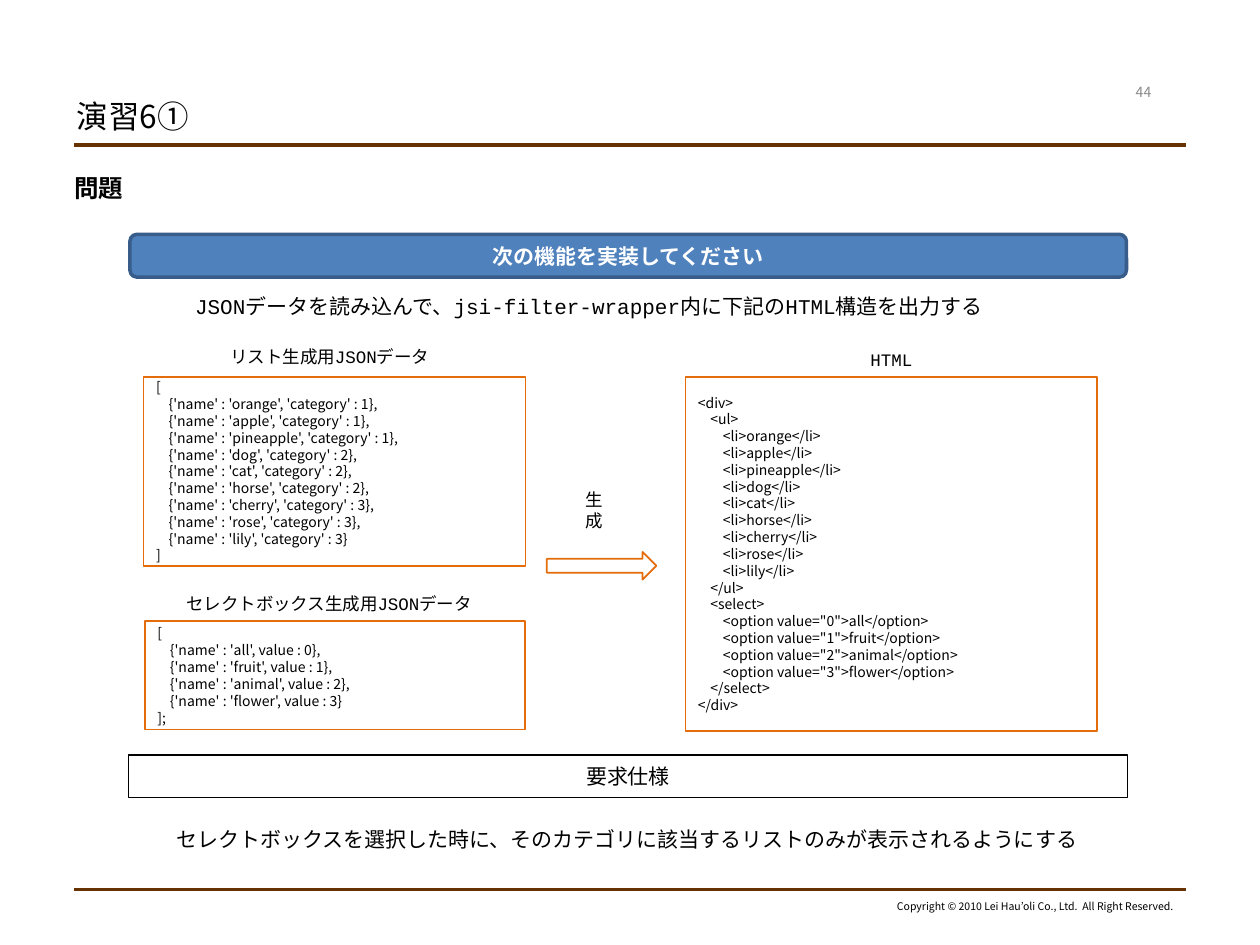
from lxml.etree import SubElement
from pptx import Presentation
from pptx.dml.color import RGBColor
from pptx.enum.shapes import MSO_CONNECTOR, MSO_SHAPE
from pptx.enum.text import MSO_ANCHOR, MSO_AUTO_SIZE, PP_ALIGN
from pptx.oxml.ns import qn
from pptx.util import Pt

COLORS = {
    "black": "000000", "white": "FFFFFF", "gray": "898989", "brown": "663300",
    "blue": "4F81BD", "navy": "385D8A", "orange": "E46C0A",
}
SANS = "Noto Sans CJK JP"
MONO = "Courier New"
CODE_LINE = 9.6

LIST_ITEMS = [
    ("orange", 1), ("apple", 1), ("pineapple", 1), ("dog", 2), ("cat", 2),
    ("horse", 2), ("cherry", 3), ("rose", 3), ("lily", 3),
]
OPTIONS = ["all", "fruit", "animal", "flower"]


def color(name):
    return RGBColor.from_string(COLORS[name])


def apply(target, values):
    for name, value in values.items():
        setattr(target, name, value)


def place(box, left, top, width, height):
    apply(box, dict(left=Pt(left), top=Pt(top), width=Pt(width), height=Pt(height)))


def write(box, lines, size, font=SANS, ink="black", bold=False,
          align=PP_ALIGN.LEFT, anchor=MSO_ANCHOR.TOP, wrap=True, spacing=None):
    frame = box.text_frame
    apply(frame, dict(word_wrap=wrap, vertical_anchor=anchor,
                      auto_size=MSO_AUTO_SIZE.NONE if wrap else MSO_AUTO_SIZE.SHAPE_TO_FIT_TEXT))
    for number, line in enumerate(lines):
        para = frame.paragraphs[0] if number == 0 else frame.add_paragraph()
        apply(para, dict(alignment=align, space_before=Pt(0)))
        if spacing:
            para.line_spacing = Pt(spacing)
        span = para.add_run()
        span.text = line
        apply(span.font, dict(name=font, size=Pt(size), bold=bold))
        span.font.color.rgb = color(ink)
        SubElement(span.font._element, qn("a:ea"), typeface=SANS)


def add_text(page, frame, line, size, **style):
    box = page.shapes.add_textbox(*map(Pt, frame))
    write(box, [line], size, **style)


def add_label(page, frame, line, size=10):
    add_text(page, frame, line, size, font=MONO, wrap=False)


def add_box(page, kind, frame, line, fill=None, width=1):
    box = page.shapes.add_shape(kind, *map(Pt, frame))
    box.shadow.inherit = False
    if fill:
        box.fill.solid()
        box.fill.fore_color.rgb = color(fill)
    else:
        box.fill.background()
    box.line.color.rgb = color(line)
    box.line.width = Pt(width)
    return box


def add_banner(page, kind, frame, text, line, **style):
    look = {key: style.pop(key) for key in ("fill", "width") if key in style}
    banner = add_box(page, kind, frame, line, **look)
    write(banner, [text], 12, align=PP_ALIGN.CENTER, anchor=MSO_ANCHOR.MIDDLE, **style)


def add_code(page, frame, lines):
    box = add_box(page, MSO_SHAPE.RECTANGLE, frame, "orange")
    write(box, lines, 8, anchor=MSO_ANCHOR.MIDDLE, spacing=CODE_LINE)


def add_rule(page, top):
    rule = page.shapes.add_connector(MSO_CONNECTOR.STRAIGHT, Pt(42.5), Pt(top), Pt(677.5), Pt(top))
    rule.line.color.rgb = color("brown")
    rule.line.width = Pt(2.25)
    SubElement(rule._element.spPr, qn("a:effectLst"))


def add_headings(page):
    title, body = page.placeholders
    place(title, 36.7, 54.7, 476.6, 23)
    write(title, ["演習6①"], 18, anchor=MSO_ANCHOR.MIDDLE)
    place(body, 35.3, 95, 648, 402.5)
    write(body, ["問題"], 14, bold=True)
    properties = body.text_frame.paragraphs[0]._p.get_or_add_pPr()
    properties.set("marL", "0")
    properties.set("indent", "0")
    SubElement(properties, qn("a:buNone"))


def json_array(records, closing):
    """Lay records out one to a line, with a comma after all but the last."""
    inner = [f"    {{{record}}}" for record in records]
    return ["["] + [line + "," for line in inner[:-1]] + [inner[-1], closing]


def html_lines():
    return (
        ["<div>", "    <ul>"]
        + [f"        <li>{name}</li>" for name, _ in LIST_ITEMS]
        + ["    </ul>", "    <select>"]
        + [f'        <option value="{value}">{name}</option>' for value, name in enumerate(OPTIONS)]
        + ["    </select>", "</div>"]
    )


def main():
    deck = Presentation()
    deck.slide_width, deck.slide_height = Pt(720), Pt(540)
    page = deck.slides.add_slide(deck.slide_layouts[1])

    for top in (82.8, 508.3):
        add_rule(page, top)
    add_text(page, (503.3, 510.5, 174.2, 14.4),
             "Copyright © 2010 Lei Hau’oli Co., Ltd.  All Right Reserved.",
             6, align=PP_ALIGN.RIGHT, wrap=False)
    add_headings(page)
    add_text(page, (632.2, 43.9, 42.5, 17.3), "44", 8, ink="gray",
             align=PP_ALIGN.CENTER, anchor=MSO_ANCHOR.MIDDLE)

    add_banner(page, MSO_SHAPE.ROUNDED_RECTANGLE, (74.2, 133.9, 569.5, 24.5),
               "次の機能を実装してください", "navy", fill="blue", width=2, ink="white", bold=True)
    add_label(page, (104.4, 164.2, 479.5, 21.6),
              "JSONデータを読み込んで、jsi-filter-wrapper内に下記のHTML構造を出力する", 12)

    add_label(page, (124.6, 194.4, 132.5, 19.4), "リスト生成用JSONデータ")
    add_code(page, (82.1, 215.3, 218.2, 108),
             json_array([f"'name' : '{name}', 'category' : {group}" for name, group in LIST_ITEMS], "]"))
    add_label(page, (99.4, 335.5, 182.2, 19.4), "セレクトボックス生成用JSONデータ")
    add_code(page, (82.8, 355, 217.4, 61.9),
             json_array([f"'name' : '{name}', value : {value}" for value, name in enumerate(OPTIONS)], "];"))

    add_label(page, (327.6, 275.8, 33.8, 19.4), "生成")
    add_box(page, MSO_SHAPE.RIGHT_ARROW, (312.5, 315.4, 62.6, 15.8), "orange")

    add_label(page, (490.3, 195.8, 38.2, 19.4), "HTML")
    add_code(page, (391.7, 215.3, 235.4, 202.3), html_lines())

    add_banner(page, MSO_SHAPE.RECTANGLE, (73.4, 431.3, 571, 24.5), "要求仕様", "black")
    add_label(page, (93.6, 468.7, 529.9, 21.6),
              "セレクトボックスを選択した時に、そのカテゴリに該当するリストのみが表示されるようにする", 12)

    deck.save("out.pptx")


if __name__ == "__main__":
    main()
